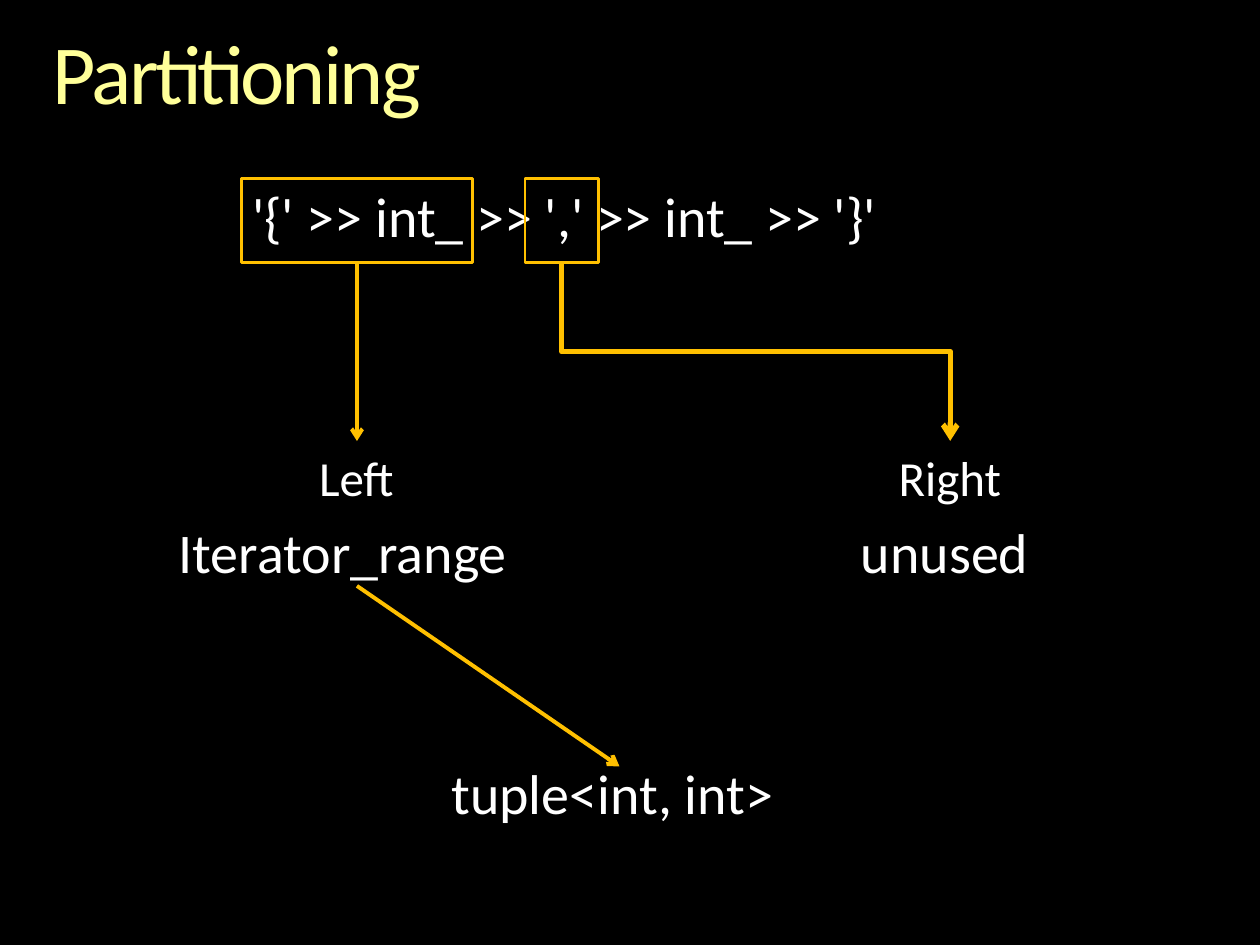
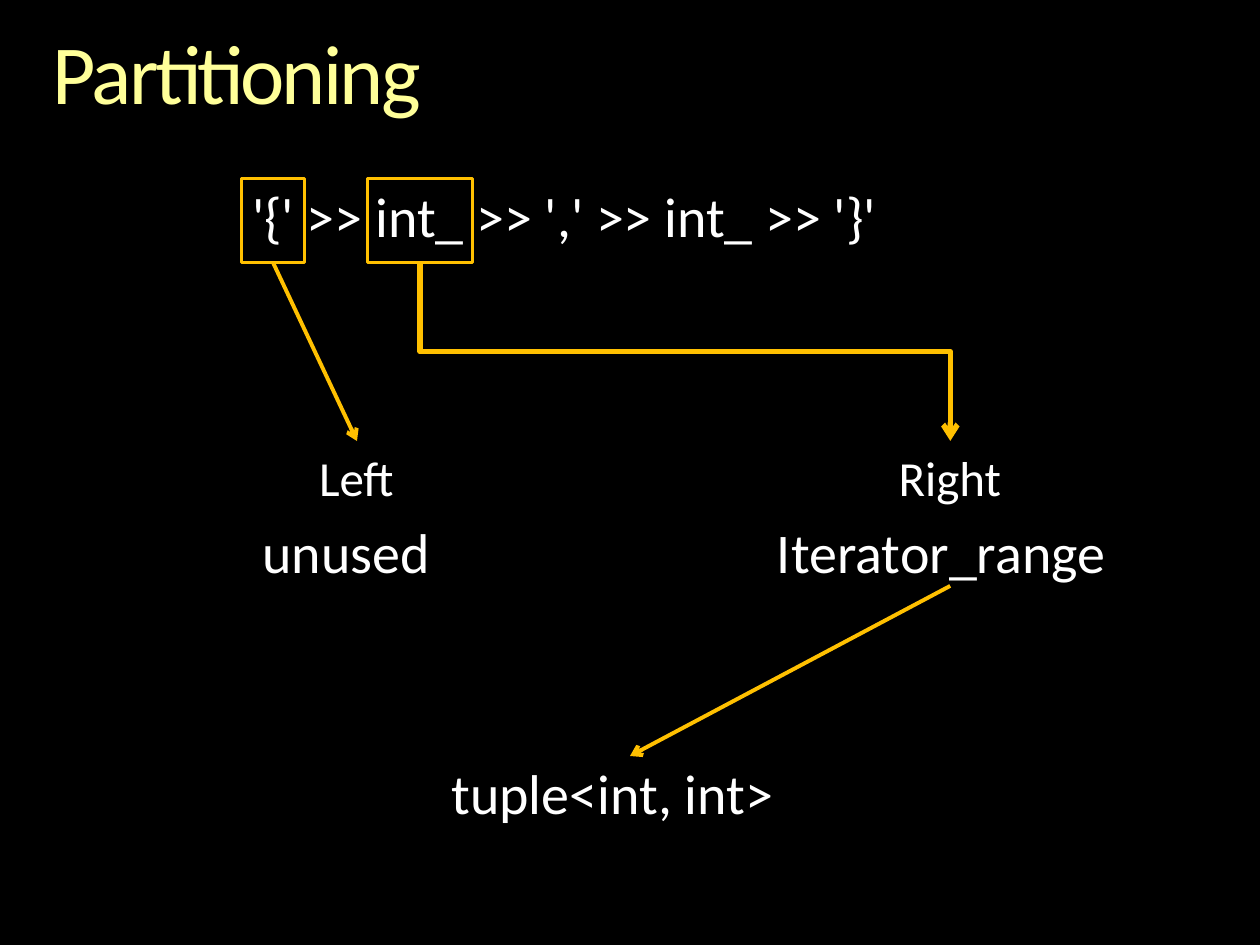
from lxml import etree
from pptx import Presentation
from pptx import util as u
from pptx.dml.color import RGBColor
from pptx.enum import shapes, text
from pptx.oxml.ns import qn

FONT = "Calibri"
BLACK, WHITE, GOLD, CREAM = "000000", "FFFFFF", "FFC000", "FFFF99"
LEFT, RIGHT = 340, 905
BOXTOP, BOXHIGH, HEADTOP, WORDTOP, WORDHIGH = 170, 80, 420, 500, 58


def px(n):
    """Turn whole pixels, 120 to the inch, into EMU."""
    return u.Emu(int(n * 7620))


def color(code):
    """Turn a hex string into a colour."""
    return RGBColor.from_string(code)


def place(shape, box):
    """Move a shape to a box given in pixels."""
    shape.left, shape.top, shape.width, shape.height = map(px, box)


def write(shape, words, size=32, ink=WHITE, spread=0.9, wrap=True, inset=0, track=0):
    """Fill a shape with one formatted line of text."""
    frame = shape.text_frame
    frame.word_wrap = wrap
    frame.auto_size = text.MSO_AUTO_SIZE.NONE
    frame.vertical_anchor = text.MSO_ANCHOR.TOP
    frame.margin_left = frame.margin_right = px(2 * inset)
    frame.margin_top = frame.margin_bottom = px(inset)
    para = frame.paragraphs[0]
    para.alignment = text.PP_ALIGN.LEFT
    para.line_spacing = spread
    para.space_before = u.Pt(0)
    run = para.add_run()
    run.text = words
    run.font.name, run.font.size = FONT, u.Pt(size)
    run.font.color.rgb = color(ink)
    if track:
        run.font._element.set("spc", str(track))
    return para


def label(slide, words, box, **form):
    """Add a text box."""
    write(slide.shapes.add_textbox(*map(px, box)), words, **form)


def frame(slide, left, wide):
    """Outline a part of the rule and return its middle."""
    box = (left, BOXTOP, wide, BOXHIGH)
    rect = slide.shapes.add_shape(shapes.MSO_SHAPE.RECTANGLE, *map(px, box))
    rect.shadow.inherit = False
    rect.fill.background()
    rect.line.color.rgb = color(GOLD)
    rect.line.width = u.Pt(1.5)
    return left + wide // 2


def arrow(slide, start, end, width=2.25, kind=shapes.MSO_CONNECTOR.STRAIGHT):
    """Add a gold line with an open head at its end."""
    line = slide.shapes.add_connector(kind, *map(px, start + end))
    line.line.color.rgb = color(GOLD)
    line.line.width = u.Pt(width)
    props = line._element.spPr
    etree.SubElement(props.find(qn("a:ln")), qn("a:tailEnd"), type="arrow")
    etree.SubElement(props, qn("a:effectLst"))
    return line


def elbow(slide, start, end):
    """Add an arrow that goes down, across and down."""
    (x1, y1), (x2, y2) = start, end
    wide, high = y2 - y1, x2 - x1
    left, top = (x1 + x2 - wide) / 2, (y1 + y2 - high) / 2
    line = arrow(slide, (left + wide, top), (left, top + high), 3,
                 shapes.MSO_CONNECTOR.ELBOW)
    line._element.spPr.find(qn("a:xfrm")).set("rot", "16200000")


def header(slide):
    """Fill the title and the grammar rule."""
    title, body = slide.placeholders
    place(title, (50, 30, 1100, 88))
    write(title, "Partitioning", size=48, ink=CREAM, track=-150)
    place(body, (240, 180, 660, WORDHIGH))
    para = write(body, "'{' >> int_ >> ',' >> int_ >> '}'")
    props = para._p.get_or_add_pPr()
    props.set("marL", "0")
    props.set("indent", "0")
    etree.SubElement(props, qn("a:buNone"))


def branch(slide, name, mid, wide, word, left, span):
    """Add a side's name and the attribute below it."""
    label(slide, name, (mid - wide // 2, HEADTOP, wide, 68),
          size=28, spread=1, wrap=False, inset=6)
    label(slide, word, (left, WORDTOP, span, WORDHIGH))


def split(deck, parts, words, source, goal):
    """Build one partitioning slide."""
    slide = deck.slides.add_slide(deck.slide_layouts[1])
    header(slide)
    first, second = [frame(slide, *part) for part in parts]
    branch(slide, "Left", LEFT, 97, *words[0])
    branch(slide, "Right", RIGHT, 122, *words[1])
    label(slide, "tuple<int, int>", (430, 730, 410, WORDHIGH))
    base = BOXTOP + BOXHIGH
    elbow(slide, (second, base), (RIGHT, HEADTOP))
    arrow(slide, (source, WORDTOP + WORDHIGH), goal)
    arrow(slide, (first, base), (LEFT, HEADTOP))


def main():
    """Build and save the deck."""
    deck = Presentation()
    deck.slide_width, deck.slide_height = px(1200), px(900)
    fill = deck.slide_master.background.fill
    fill.solid()
    fill.fore_color.rgb = color(BLACK)
    split(deck, [(230, 220), (500, 70)],
          [("Iterator_range", 170, 340), ("unused", 820, 170)], LEFT, (590, 730))
    split(deck, [(230, 60), (350, 100)],
          [("unused", 250, 170), ("Iterator_range", 740, 330)], RIGHT, (600, 720))
    deck.save("out.pptx")


if __name__ == "__main__":
    main()
